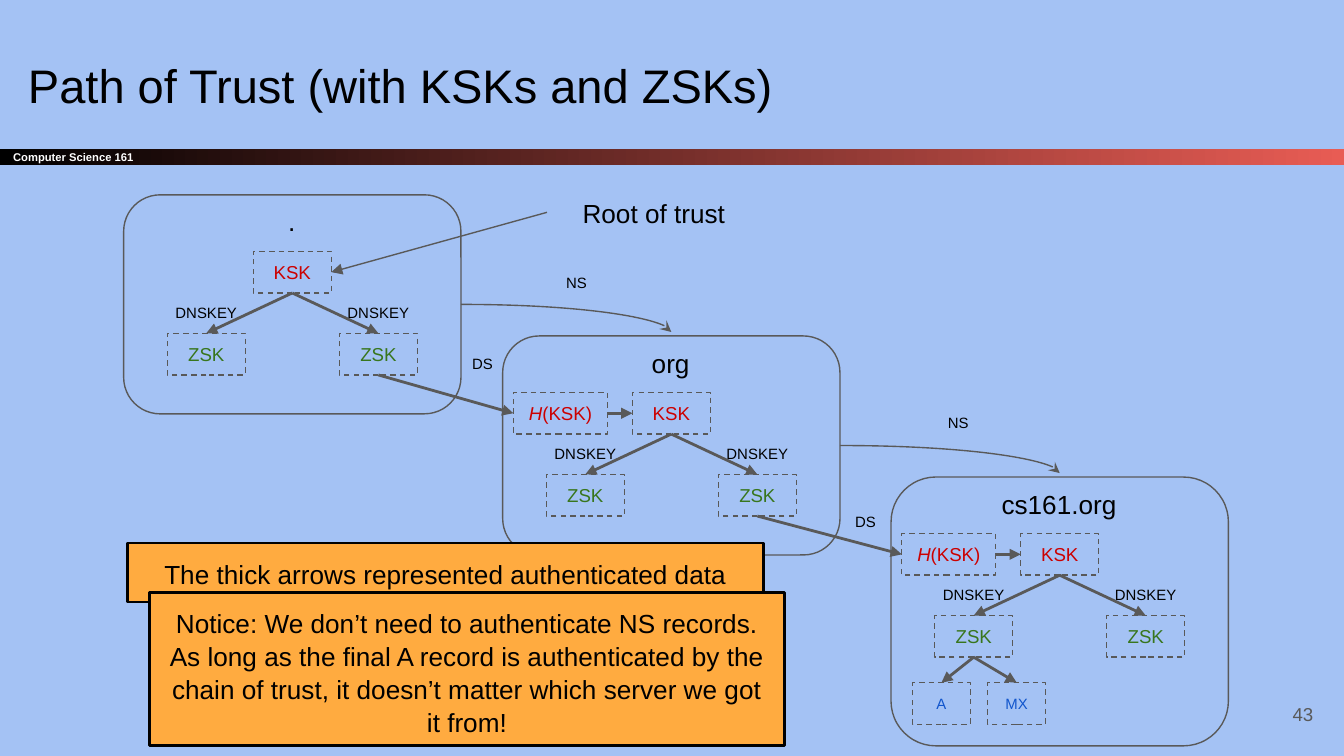
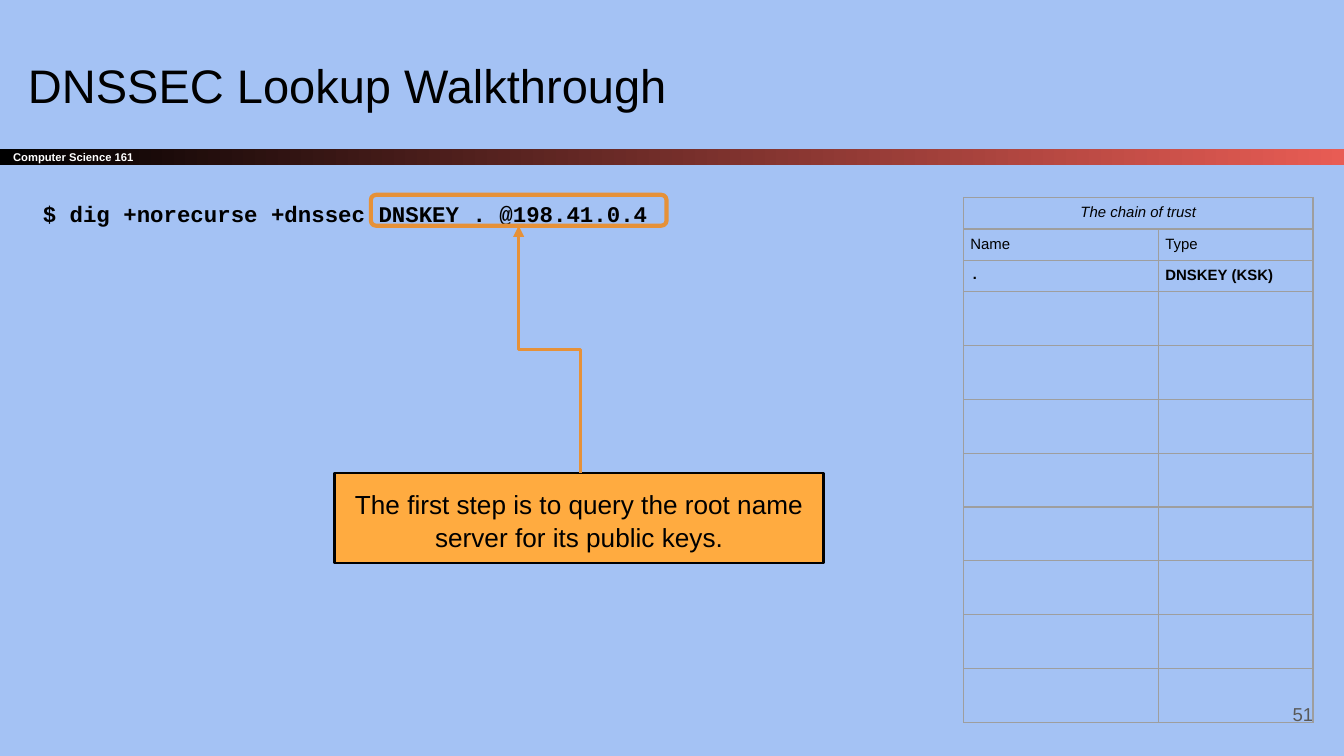
from dataclasses import dataclass

from lxml import etree
from pptx import Presentation
from pptx import util as u
from pptx.dml import color
from pptx.enum import dml, shapes, text
from pptx.oxml import ns


@dataclass(frozen=True)
class Theme:
    sky: str = "A4C2F4"
    ink: str = "000000"
    paper: str = "FFFFFF"
    coral: str = "E85C54"
    gray: str = "595959"
    rule: str = "9E9E9E"
    red: str = "CC0000"
    green: str = "38761D"
    blue: str = "1155CC"
    amber: str = "FFAB40"
    orange: str = "E69138"
    sans: str = "Arial"
    mono: str = "Courier New"
    title: float = 25.2
    lead: float = 14
    code: float = 12
    body: float = 10
    small: float = 8
    tiny: float = 6
    thin: float = 0.75
    thick: float = 1.5
    heavy: float = 2.25


THEME = Theme()
COLUMNS, ROWS = 10, 5.625
COURSE = "Computer Science 161"

TRUST = {
    "title": "Path of Trust (with KSKs and ZSKs)",
    "number": "43",
    "zones": [
        {"name": ".", "at": (0.92, 1.45), "height": 1.63},
        {"name": "org", "at": (3.74, 2.5), "height": 1.63,
         "ds": (3.24, 2.56), "ns": (3.94, 1.96)},
        {"name": "cs161.org", "at": (6.63, 3.55), "height": 2,
         "ds": (6.09, 3.74), "ns": (6.78, 3)},
    ],
    "records": [("A", -0.24), ("MX", 0.32)],
    "root": "Root of trust",
    "callouts": [
        ("The thick arrows represented authenticated data", (0.95, 4.04, 4.73, 0.44)),
        ("Notice: We don’t need to authenticate NS records. As long as the final A "
         "record is authenticated by the chain of trust, it doesn’t matter which "
         "server we got it from!", (1.11, 4.41, 4.73, 1.14)),
    ],
}
LOOKUP = {
    "title": "DNSSEC Lookup Walkthrough",
    "number": "51",
    "command": "$ dig +norecurse +dnssec DNSKEY . @198.41.0.4",
    "callout": "The first step is to query the root name server for its public keys.",
    "heading": "The chain of trust",
    "rows": [("Name", "Type"), (".", "DNSKEY (KSK)")],
    "blank_rows": 8,
}

ZONE_WIDTH = 2.51
KEY_WIDTH, KEY_HEIGHT = 0.58, 0.31
HASH_WIDTH, RECORD_WIDTH, LABEL_WIDTH = 0.7, 0.43, 0.7
KSK_DROP, ZSK_DROP, ZSK_SHIFT = 0.42, 1.03, 0.64

deck = Presentation()
deck.slide_width, deck.slide_height = u.Inches(COLUMNS), u.Inches(ROWS)


def grid(cells):
    return round(cells * deck.slide_width / COLUMNS)


def rgb(code):
    return color.RGBColor.from_string(code)


def write(frame, words, size=THEME.body, ink=THEME.ink, font=THEME.sans, bold=False,
          italic=False, align="LEFT", anchor="TOP", inset=0.1, leading=1.05):
    frame.word_wrap = True
    frame.vertical_anchor = getattr(text.MSO_ANCHOR, anchor)
    for side in ("left", "right", "top", "bottom"):
        setattr(frame, f"margin_{side}", grid(inset))
    para = frame.paragraphs[0]
    para.alignment = getattr(text.PP_ALIGN, align)
    para.line_spacing = leading
    spans = [(words, italic)] if isinstance(words, str) else words
    for part, slanted in spans:
        span = para.add_run()
        span.text = part
        face = span.font
        face.name, face.size = font, u.Pt(size)
        face.bold, face.italic = bold, slanted
        face.color.rgb = rgb(ink)


def add_text(page, at, words, **style):
    box = page.shapes.add_textbox(*map(grid, at))
    write(box.text_frame, words, **style)
    return box


def add_box(page, at, words=None, kind="RECTANGLE", fill=None, line=None,
            weight=THEME.thin, dashed=False, **style):
    box = page.shapes.add_shape(getattr(shapes.MSO_SHAPE, kind), *map(grid, at))
    box.shadow.inherit = False
    if fill:
        box.fill.solid()
        box.fill.fore_color.rgb = rgb(fill)
    else:
        box.fill.background()
    if line:
        box.line.color.rgb = rgb(line)
        box.line.width = u.Pt(weight)
        if dashed:
            box.line.dash_style = dml.MSO_LINE.DASH
    else:
        box.line.fill.background()
    if words:
        write(box.text_frame, words, **style)
    return box


def add_arrow(page, start, end, kind="STRAIGHT", ink=THEME.gray,
              weight=THEME.thick, head="triangle"):
    arrow = page.shapes.add_connector(
        getattr(shapes.MSO_CONNECTOR, kind), *map(grid, (*start, *end)))
    arrow.line.color.rgb = rgb(ink)
    arrow.line.width = u.Pt(weight)
    etree.SubElement(arrow.line._get_or_add_ln(), ns.qn("a:tailEnd"), type=head)
    etree.SubElement(arrow._element.spPr, ns.qn("a:effectLst"))
    return arrow


def add_curve(page, start, end):
    curve = add_arrow(page, start, end, kind="CURVE", weight=THEME.thin, head="stealth")
    curve._element.spPr.find(ns.qn("a:prstGeom")).set("prst", "curvedConnector2")


def add_upright_elbow(page, start, end):
    middle_x, middle_y = (start[0] + end[0]) / 2, (start[1] + end[1]) / 2
    reach, drift = (start[1] - end[1]) / 2, (start[0] - end[0]) / 2
    elbow = add_arrow(page, (middle_x + reach, middle_y - drift),
                      (middle_x - reach, middle_y + drift), kind="ELBOW",
                      ink=THEME.orange)
    elbow._element.spPr.find(ns.qn("a:xfrm")).set("rot", str(90 * 60000))


def add_callout(page, at, words):
    add_box(page, at, words, fill=THEME.amber, line=THEME.ink, weight=THEME.thick,
            size=THEME.lead, align="CENTER")


def add_key(page, center, top, words, ink, width=KEY_WIDTH, size=THEME.body):
    add_box(page, (center - width / 2, top, width, KEY_HEIGHT), words,
            line=THEME.gray, dashed=True, ink=ink, size=size,
            align="CENTER", anchor="MIDDLE", leading=1)


def add_label(page, left, top, words):
    add_text(page, (left, top, LABEL_WIDTH, KEY_HEIGHT), words,
             size=THEME.small, align="CENTER")


def add_page(content):
    page = deck.slides.add_slide(deck.slide_layouts[6])
    band = add_box(page, (0, 1.11, COLUMNS, 0.12), COURSE, size=THEME.tiny,
                   ink=THEME.paper, bold=True, anchor="MIDDLE", leading=1)
    band.fill.gradient()
    band.fill.gradient_angle = 0
    for stop, ink in zip(band.fill.gradient_stops, (THEME.ink, THEME.coral)):
        stop.color.rgb = rgb(ink)
    add_text(page, (0.11, 0.3, 9.32, 0.63), content["title"], size=THEME.title)
    add_text(page, (9.27, 5.1, 0.6, 0.43), content["number"], ink=THEME.gray,
             align="RIGHT", anchor="MIDDLE", leading=1)
    return page


def add_zone(page, zone):
    left, top = zone["at"]
    center = left + ZONE_WIDTH / 2
    ksk_top, zsk_top = top + KSK_DROP, top + ZSK_DROP
    ksk_bottom = ksk_top + KEY_HEIGHT
    add_box(page, (left, top, ZONE_WIDTH, zone["height"]),
            kind="ROUNDED_RECTANGLE", line=THEME.gray)
    add_key(page, center, ksk_top, "KSK", THEME.red)
    for shift in (-ZSK_SHIFT, ZSK_SHIFT):
        zsk = center + shift
        add_key(page, zsk, zsk_top, "ZSK", THEME.green)
        add_arrow(page, (center, ksk_bottom), (zsk, zsk_top))
        add_label(page, zsk - LABEL_WIDTH / 2, ksk_bottom, "DNSKEY")
    add_text(page, (center - 0.8, top - 0.03, 1.59, 0.4), zone["name"],
             size=THEME.lead, align="CENTER")


def link_zones(page, parent, child):
    left, top = child["at"]
    parent_left, parent_top = parent["at"]
    center = left + ZONE_WIDTH / 2
    hash_left, hash_top = left + 0.08, top + KSK_DROP
    middle = hash_top + KEY_HEIGHT / 2
    add_key(page, hash_left + HASH_WIDTH / 2, hash_top,
            [("H", True), ("(KSK)", False)], THEME.red, width=HASH_WIDTH)
    add_arrow(page, (hash_left + HASH_WIDTH, middle), (center - KEY_WIDTH / 2, middle))
    zsk_bottom = (parent_left + ZONE_WIDTH / 2 + ZSK_SHIFT,
                  parent_top + ZSK_DROP + KEY_HEIGHT)
    add_arrow(page, zsk_bottom, (hash_left, middle))
    add_label(page, *child["ds"], "DS")
    add_curve(page, (parent_left + ZONE_WIDTH, parent_top + parent["height"] / 2),
              (center, top - 0.03))
    add_label(page, *child["ns"], "NS")


def build_trust(content):
    page = add_page(content)
    zones = content["zones"]
    for zone in zones:
        add_zone(page, zone)
    for parent, child in zip(zones, zones[1:]):
        link_zones(page, parent, child)

    left, top = zones[-1]["at"]
    zsk = left + ZONE_WIDTH / 2 - ZSK_SHIFT
    record_top = top + 1.53
    for name, shift in content["records"]:
        add_key(page, zsk + shift, record_top, name, THEME.blue,
                width=RECORD_WIDTH, size=THEME.small)
        add_arrow(page, (zsk, top + ZSK_DROP + KEY_HEIGHT), (zsk + shift, record_top))

    left, top = zones[0]["at"]
    add_arrow(page, (4.07, 1.58), (left + (ZONE_WIDTH + KEY_WIDTH) / 2,
              top + KSK_DROP + KEY_HEIGHT / 2), weight=THEME.thin)
    add_text(page, (4.07, 1.36, 1.59, 0.44), content["root"],
             size=THEME.lead, align="CENTER")
    for words, at in content["callouts"]:
        add_callout(page, at, words)


def rule_cell(cell):
    cell.fill.background()
    edges = cell._tc.get_or_add_tcPr()
    for place, side in enumerate("LRTB"):
        edge = etree.Element(ns.qn(f"a:ln{side}"), w=str(u.Pt(THEME.thin)))
        fill = etree.SubElement(edge, ns.qn("a:solidFill"))
        etree.SubElement(fill, ns.qn("a:srgbClr"), val=THEME.rule)
        edges.insert(place, edge)


def add_chain(page, content):
    widths, height = (1.45, 1.15), 0.23
    count = 1 + len(content["rows"]) + content["blank_rows"]
    table = page.shapes.add_table(count, len(widths), *map(
        grid, (7.17, 1.47, sum(widths), count * height))).table
    table.first_row = table.horz_banding = False
    for column, width in zip(table.columns, widths):
        column.width = grid(width)
    for row in table.rows:
        row.height = grid(height)
        for cell in row.cells:
            rule_cell(cell)

    def fill_cell(row, column, words, **style):
        cell = table.cell(row, column)
        write(cell.text_frame, words, size=THEME.small, inset=0.05, leading=1, **style)
        for side in ("left", "right", "top", "bottom"):
            setattr(cell, f"margin_{side}", grid(0.05))

    table.cell(0, 0).merge(table.cell(0, 1))
    fill_cell(0, 0, content["heading"], italic=True, align="CENTER")
    for row, entries in enumerate(content["rows"], 1):
        for column, words in enumerate(entries):
            fill_cell(row, column, words, bold=row > 1,
                      font=THEME.mono if words == "." else THEME.sans)


def build_lookup(content):
    page = add_page(content)
    add_text(page, (0.22, 1.36, 6.8, 4.12), content["command"], size=THEME.code,
             font=THEME.mono, bold=True, leading=1.15)
    add_box(page, (2.76, 1.45, 2.2, 0.23), kind="ROUNDED_RECTANGLE",
            line=THEME.orange, weight=THEME.heavy)
    add_callout(page, (2.49, 3.52, 3.64, 0.67), content["callout"])
    add_upright_elbow(page, (4.32, 3.52), (3.86, 1.68))
    add_chain(page, content)


backdrop = deck.slide_master.background.fill
backdrop.solid()
backdrop.fore_color.rgb = rgb(THEME.sky)
build_trust(TRUST)
build_lookup(LOOKUP)
deck.save("out.pptx")
